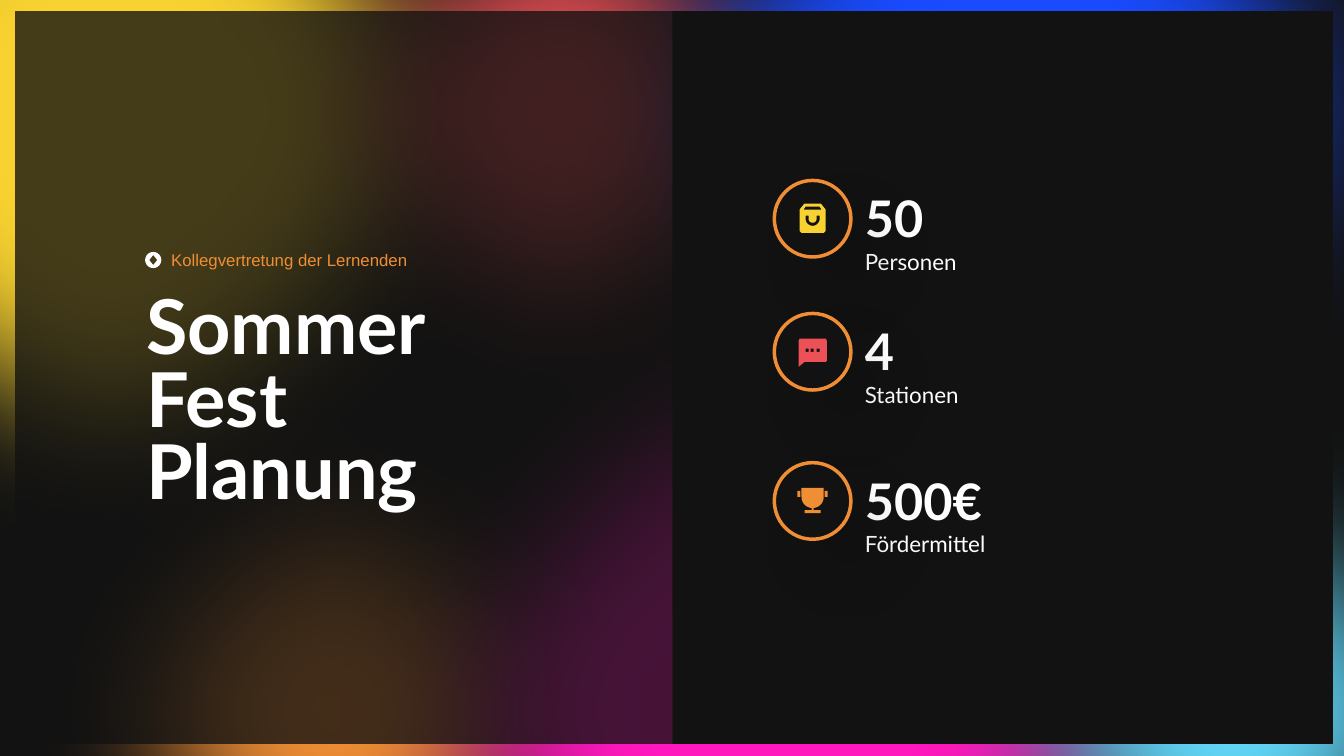
from math import cos, radians, sin

from lxml import etree
from pptx import Presentation
from pptx import util as u
from pptx.dml.color import RGBColor
from pptx.enum import shapes, text
from pptx.oxml import ns

PX = 9144
DARK, WHITE = "121212", "FFFFFF"
YELLOW, ORANGE, RED = "F8D230", "F08E35", "EC5157"
PINK, BLUE, CYAN = "FF18BD", "1A4BFF", "62D8F9"


def px(n):
    return u.Emu(round(n * PX))


def rgb(value):
    return RGBColor.from_string(value)


def add_child(parent, tag, **attrs):
    child = etree.SubElement(parent, ns.qn(tag))
    for name, value in attrs.items():
        child.set(name, str(value))
    return child


def paint(sp, fill, alpha=100):
    sp.shadow.inherit = False
    sp.line.fill.background()
    sp.fill.solid()
    sp.fill.fore_color.rgb = rgb(fill)
    if alpha < 100:
        color = sp.element.spPr.find(ns.qn("a:solidFill"))[0]
        add_child(color, "a:alpha", val=alpha * 1000)
    return sp


def add_preset(s, kind, box, fill, alpha=100):
    return paint(s.shapes.add_shape(kind, *map(px, box)), fill, alpha)


def effects(sp):
    return sp.element.spPr.find(ns.qn("a:effectLst"))


def add_glow(s, x, y, size, fill):
    sp = add_preset(s, shapes.MSO_SHAPE.OVAL, (x, y, size, size), fill)
    add_child(effects(sp), "a:softEdge", rad=u.Pt(100))


def add_ring(s, x, y, size):
    sp = add_preset(s, shapes.MSO_SHAPE.OVAL, (x, y, size, size), DARK)
    sp.line.color.rgb = rgb(ORANGE)
    sp.line.width = u.Pt(2.5)
    shadow = add_child(effects(sp), "a:outerShdw", blurRad=u.Pt(40),
                       dist=u.Pt(35), dir=45 * 60000)
    color = add_child(shadow, "a:srgbClr", val="000000")
    add_child(color, "a:alpha", val=10000)


def add_icon(s, cx, cy, contours, fill):
    builder = None
    for contour in contours:
        points = [(px(cx + x), px(cy + y)) for x, y in contour]
        if builder is None:
            builder = s.shapes.build_freeform(*points[0])
        else:
            builder.move_to(*points[0])
        builder.add_line_segments(points[1:], close=True)
    paint(builder.convert_to_shape(), fill)


def write(sp, lines, font, spacing=None):
    tf = sp.text_frame
    tf.word_wrap = True
    tf.auto_size = text.MSO_AUTO_SIZE.SHAPE_TO_FIT_TEXT
    tf.vertical_anchor = text.MSO_ANCHOR.TOP
    for i, line in enumerate(lines):
        p = tf.add_paragraph() if i else tf.paragraphs[0]
        p.alignment = text.PP_ALIGN.LEFT
        p.line_spacing = spacing
        r = p.add_run()
        r.text = line
        for name, value in font.items():
            setattr(r.font, name, value)


def add_text(s, box, line, font, color):
    sp = s.shapes.add_textbox(*map(px, box))
    write(sp, [line], font)
    sp.text_frame.paragraphs[0].runs[0].font.color.rgb = rgb(color)


def add_title(s, box, lines, font):
    sp = s.shapes.title
    sp.left, sp.top, sp.width, sp.height = map(px, box)
    write(sp, lines, font, 0.8)
    for p in sp.text_frame.paragraphs:
        p.runs[0].font.color.rgb = rgb(WHITE)
    sp.element.getparent().append(sp.element)


def arc(cx, cy, radius, start, end, steps=24):
    angles = [radians(start + (end - start) * i / steps) for i in range(steps + 1)]
    return [(cx + radius * cos(a), cy + radius * sin(a)) for a in angles]


def rect(x, y, w, h):
    return [(x, y), (x + w, y), (x + w, y + h), (x, y + h)]


def bag():
    body = [(-8, -15), (8, -15), (9, -14), (13, -9), (13, 12), (11, 14),
            (-11, 14), (-13, 12), (-13, -9), (-9, -14)]
    flap = [(9, -9), (7, -12), (-7, -12), (-9, -9)]
    handle = ([(-4, -3), (-7, -3)] + arc(0, 0, 7, 180, 0)
              + [(7, -3), (4, -3)] + arc(0, 0, 4, 0, 180))
    return [body, flap, handle]


def chat():
    bubble = [(-8, 10), (-14, 15), (-14, -11), (-13, -13),
              (13, -13), (14, -11), (14, 9), (13, 10)]
    return [bubble] + [rect(x, -3, 3, 3) for x in (-7, -2, 4)]


def trophy():
    cup = ([(1, 6), (1, 9), (8, 9), (8, 12), (-8, 12), (-8, 9), (-1, 9), (-1, 6)]
           + arc(0, -4, 11, 95, 180) + [(-11, -13), (11, -13)]
           + arc(0, -4, 11, 0, 85))
    return [cup, rect(-15, -10, 3, 6), rect(12, -10, 3, 6)]


def badge():
    return [arc(0, 0, 8, 0, 345), [(4, 0), (0, 5), (-4, 0), (0, -5)]]


def main():
    prs = Presentation()
    prs.slide_width, prs.slide_height = u.Inches(13.33), u.Inches(7.5)
    s = prs.slides.add_slide(prs.slide_layouts[5])
    s.background.fill.solid()
    s.background.fill.fore_color.rgb = rgb(DARK)

    big, small = 925, 697
    for glow in ((-351, -351, big, YELLOW), (-15, 357, small, ORANGE),
                 (207, -238, small, RED), (315, 243, big, PINK),
                 (538, -351, big, BLUE), (874, 357, small, CYAN)):
        add_glow(s, *glow)

    for left, alpha in ((667, 100), (15, 78), (667, 78)):
        add_preset(s, shapes.MSO_SHAPE.RECTANGLE, (left, 11, 655, 727), DARK, alpha)

    number = {"name": "Lato", "size": u.Pt(36), "bold": True}
    label = {"name": "Lato", "size": u.Pt(16), "bold": False}
    facts = ((179, "50", "Personen", bag(), YELLOW),
             (311, "4", "Stationen", chat(), RED),
             (459, "500€", "Fördermittel", trophy(), ORANGE))
    for top, value, caption, icon, color in facts:
        add_text(s, (848, top + 2, 192, 71), value, number, WHITE)
        add_text(s, (848, top + 62, 178, 37), caption, label, WHITE)
        add_ring(s, 768, top, 76)
        add_icon(s, 806, top + 38, icon, color)

    add_title(s, (135, 289, 404, 231), ("Sommer", "Fest", "Planung"),
              {"name": "Lato", "size": u.Pt(54), "bold": True})
    add_icon(s, 152, 258, badge(), WHITE)
    add_text(s, (160, 243, 287, 30), "Kollegvertretung der Lernenden",
             {"name": "Arial", "size": u.Pt(12)}, ORANGE)

    prs.save("out.pptx")


if __name__ == "__main__":
    main()
